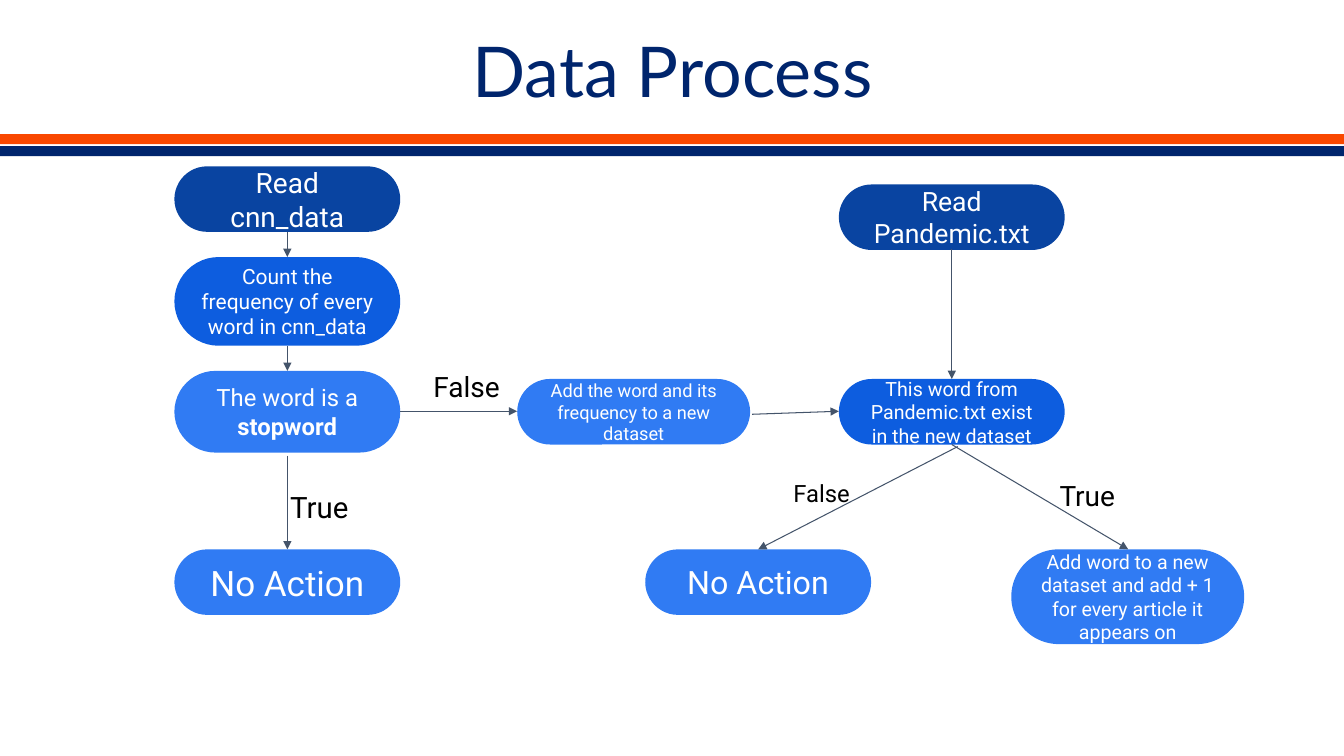
from dataclasses import dataclass

from lxml import etree
from pptx import Presentation
from pptx.dml.color import RGBColor
from pptx.enum.shapes import MSO_CONNECTOR, MSO_SHAPE
from pptx.enum.text import MSO_ANCHOR, PP_ALIGN
from pptx.oxml.ns import qn
from pptx.util import Inches, Pt

RECT, PILL = MSO_SHAPE.RECTANGLE, MSO_SHAPE.ROUNDED_RECTANGLE
STRAIGHT = MSO_CONNECTOR.STRAIGHT
TOP, MIDDLE = MSO_ANCHOR.TOP, MSO_ANCHOR.MIDDLE
LEFT, CENTER = PP_ALIGN.LEFT, PP_ALIGN.CENTER


@dataclass(frozen=True)
class Theme:
    navy: str = "00256D"
    orange: str = "F94700"
    start: str = "0944A1"
    step: str = "0D5DDF"
    branch: str = "307BF3"
    arrow: str = "44546A"
    white: str = "FFFFFF"
    black: str = "000000"
    title_font: str = "Lato"
    body_font: str = "Roboto"
    title_size: int = 50
    arrow_width: float = 0.75


THEME = Theme()
NODE_W, WIDE_W, NODE_H = 2.24, 2.31, 0.65
LEFT_X, RIGHT_X = 1.73, 8.32
LEFT_MID, RIGHT_MID = LEFT_X + NODE_W / 2, RIGHT_X + NODE_W / 2
TEST_Y, RESULT_Y, FLOW_Y = 3.76, 5.45, 4.08

# left, top, width, height, fill, size, runs of (text, bold)
NODES = [
    (LEFT_X, 1.65, NODE_W, NODE_H, THEME.start, 20, [("Read cnn_data", False)]),
    (LEFT_X, 2.55, NODE_W, 0.88, THEME.step, 15,
     [("Count the frequency of every word in cnn_data", False)]),
    (LEFT_X, 3.68, NODE_W, 0.81, THEME.branch, 17,
     [("The word is a ", False), ("stopword", True)]),
    (LEFT_X, RESULT_Y, NODE_W, NODE_H, THEME.branch, 25, [("No Action", False)]),
    (5.13, TEST_Y, WIDE_W, NODE_H, THEME.branch, 13,
     [("Add the word and its frequency to a new dataset", False)]),
    (RIGHT_X, 1.83, NODE_W, NODE_H, THEME.start, 19, [("Read Pandemic.txt", False)]),
    (RIGHT_X, TEST_Y, NODE_W, NODE_H, THEME.step, 14,
     [("This word from Pandemic.txt exist in the new dataset", False)]),
    (6.4, RESULT_Y, NODE_W, NODE_H, THEME.branch, 23, [("No Action", False)]),
    (10.03, RESULT_Y, WIDE_W, 0.94, THEME.branch, 14,
     [("Add word to a new dataset and add + 1 for every article it appears on", False)]),
]

# from x, from y, to x, to y
ARROWS = [
    (LEFT_MID, 2.3, LEFT_MID, 2.55),
    (LEFT_MID, 3.43, LEFT_MID, 3.68),
    (LEFT_X + NODE_W, FLOW_Y, 5.13, FLOW_Y),
    (LEFT_MID, 4.52, LEFT_MID, RESULT_Y),
    (RIGHT_MID, 2.47, RIGHT_MID, TEST_Y),
    (7.46, 4.11, RIGHT_X, FLOW_Y),
    (9.5, 4.43, 7.52, RESULT_Y),
    (RIGHT_MID, 4.41, 11.19, RESULT_Y),
]

# left, top, width, height, size, text
LABELS = [
    (2.78, 4.75, 0.85, 0.56, 21, "True"),
    (4.2, 3.57, 1.1, 0.54, 20, "False"),
    (10.41, 4.65, 1.15, 0.54, 20, "True"),
    (7.77, 4.65, 0.87, 0.49, 17, "False"),
]


def write(sp, runs, size, color, font, align, anchor, inset_x, inset_y):
    """Fill a shape with one paragraph of (text, bold) runs."""
    tf = sp.text_frame
    frame = dict(word_wrap=True, vertical_anchor=anchor,
                 margin_left=Inches(inset_x), margin_right=Inches(inset_x),
                 margin_top=Inches(inset_y), margin_bottom=Inches(inset_y))
    for name, value in frame.items():
        setattr(tf, name, value)
    p = tf.paragraphs[0]
    p.alignment = align
    for text, bold in runs:
        r = p.add_run()
        r.text = text
        for name, value in dict(name=font, size=Pt(size), bold=bold).items():
            setattr(r.font, name, value)
        r.font.color.rgb = RGBColor.from_string(color)
    return p


def add_block(s, kind, box, fill):
    sp = s.shapes.add_shape(kind, *map(Inches, box))
    sp.shadow.inherit = False
    sp.fill.solid()
    sp.fill.fore_color.rgb = RGBColor.from_string(fill)
    sp.line.fill.background()
    return sp


def add_title(s, text):
    sp = s.shapes.add_textbox(*map(Inches, (0.92, 0.15, 11.5, 1.18)))
    p = write(sp, [(text, False)], THEME.title_size, THEME.navy,
              THEME.title_font, CENTER, MIDDLE, 0.1, 0.05)
    p.line_spacing = 0.9


def add_node(s, left, top, width, height, fill, size, runs):
    sp = add_block(s, PILL, (left, top, width, height), fill)
    sp.adjustments[0] = 0.5
    write(sp, runs, size, THEME.white, THEME.body_font, CENTER, MIDDLE, 0.13, 0.13)


def add_label(s, left, top, width, height, size, text):
    sp = s.shapes.add_textbox(*map(Inches, (left, top, width, height)))
    write(sp, [(text, False)], size, THEME.black, THEME.body_font, LEFT, TOP, 0.1, 0.1)


def add_arrow(s, *ends):
    line = s.shapes.add_connector(STRAIGHT, *map(Inches, ends))
    line.line.color.rgb = RGBColor.from_string(THEME.arrow)
    line.line.width = Pt(THEME.arrow_width)
    etree.SubElement(line.line._get_or_add_ln(), qn("a:tailEnd"), type="triangle")
    etree.SubElement(line._element.spPr, qn("a:effectLst"))


def main():
    prs = Presentation()
    prs.slide_width, prs.slide_height = Inches(13.33), Inches(7.5)
    s = prs.slides.add_slide(prs.slide_layouts[6])
    for top, color in ((1.45, THEME.navy), (1.33, THEME.orange)):
        add_block(s, RECT, (0, top, 13.33, 0.1), color)
    add_title(s, "Data Process")
    for node in NODES:
        add_node(s, *node)
    for arrow in ARROWS:
        add_arrow(s, *arrow)
    for label in LABELS:
        add_label(s, *label)
    prs.save("out.pptx")


if __name__ == "__main__":
    main()
